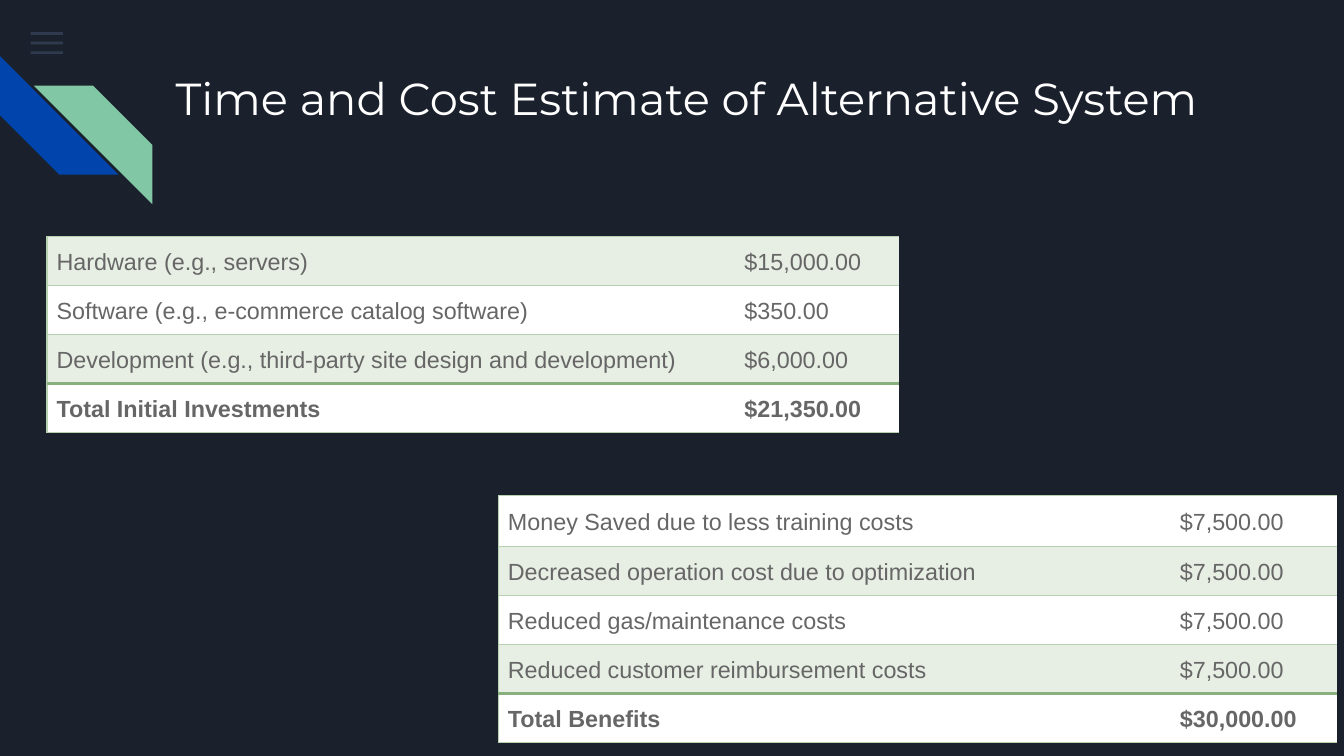
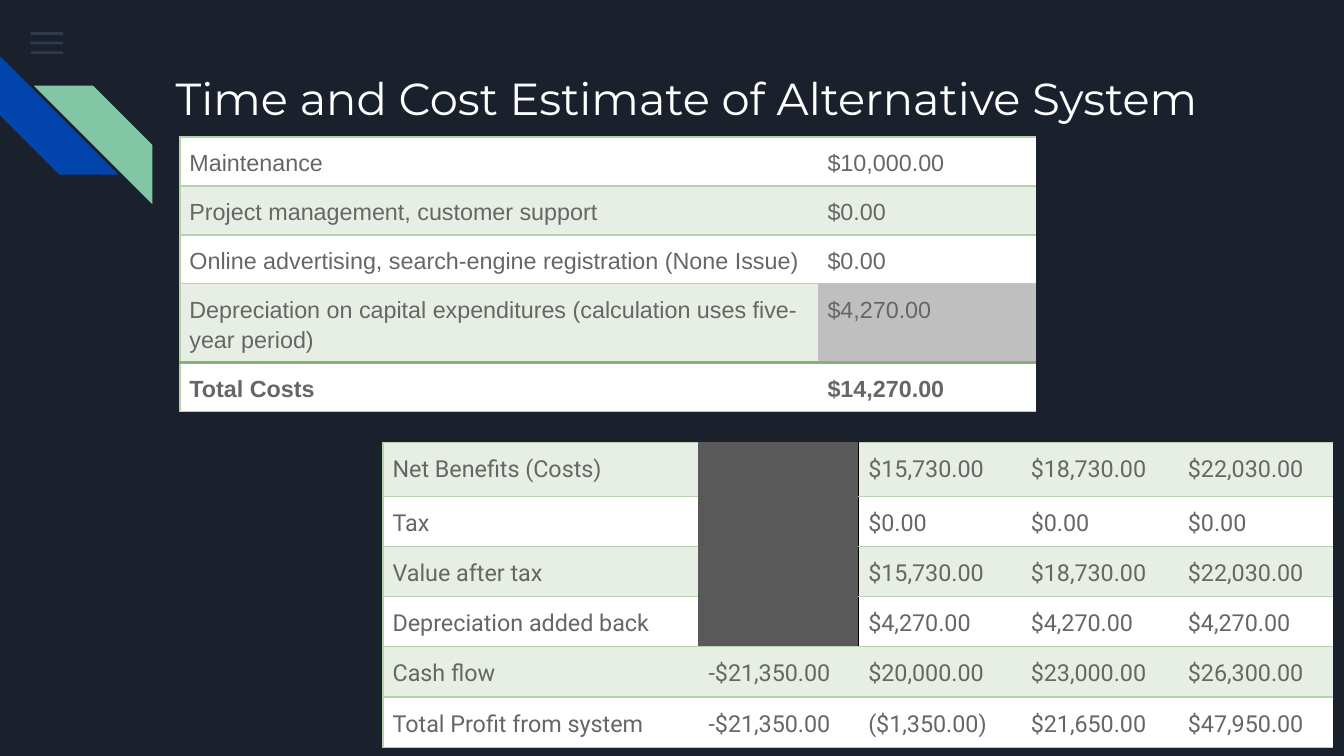
from dataclasses import dataclass

from lxml.etree import SubElement
from pptx import Presentation
from pptx.dml.color import RGBColor
from pptx.enum.shapes import MSO_SHAPE
from pptx.enum.text import MSO_ANCHOR, MSO_AUTO_SIZE, PP_ALIGN
from pptx.oxml.ns import qn
from pptx.util import Cm, Pt


@dataclass(frozen=True)
class Theme:
    back: str = "1B212C"
    menu: str = "55688B"
    blue: str = "0145AC"
    mint: str = "82C7A5"
    white: str = "FFFFFF"
    pale: str = "E7EFE4"
    text: str = "666666"
    rule: str = "B7D0B0"
    heavy: str = "87B07D"
    gray: str = "BFBFBF"
    dark: str = "595959"
    black: str = "000000"
    head: str = "Montserrat"
    body: str = "Arial"
    alt: str = "Roboto"
    large: float = 24
    small: float = 12.5
    thin: float = 0.75
    thick: float = 2


THEME = Theme()
TITLE = "Time and Cost Estimate of Alternative System"
ROW = 0.9
PAD = Cm(0.18)

INVEST = [
    ("Hardware (e.g., servers)", "$15,000.00"),
    ("Software (e.g., e-commerce catalog software)", "$350.00"),
    ("Development (e.g., third-party site design and development)", "$6,000.00"),
    ("Total Initial Investments", "$21,350.00"),
]
GAINS = [
    ("Money Saved due to less training costs", "$7,500.00"),
    ("Decreased operation cost due to optimization", "$7,500.00"),
    ("Reduced gas/maintenance costs", "$7,500.00"),
    ("Reduced customer reimbursement costs", "$7,500.00"),
    ("Total Benefits", "$30,000.00"),
]
COSTS = [
    ("Maintenance", "$10,000.00"),
    ("Project management, customer support", "$0.00"),
    ("Online advertising, search-engine registration (None Issue)", "$0.00"),
    ("Depreciation on capital expenditures (calculation uses five-year period)", "$4,270.00"),
    ("Total Costs", "$14,270.00"),
]
PROFIT = [
    ("Net Benefits (Costs)", "", "$15,730.00", "$18,730.00", "$22,030.00"),
    ("Tax", "", "$0.00", "$0.00", "$0.00"),
    ("Value after tax", "", "$15,730.00", "$18,730.00", "$22,030.00"),
    ("Depreciation added back", "", "$4,270.00", "$4,270.00", "$4,270.00"),
    ("Cash flow", "-$21,350.00", "$20,000.00", "$23,000.00", "$26,300.00"),
    ("Total Profit from system", "-$21,350.00", "($1,350.00)", "$21,650.00", "$47,950.00"),
]


def rgb(color):
    return RGBColor.from_string(color)


def fade(color, share):
    SubElement(color, qn("a:alpha")).set("val", str(share * 1000))


def add_part(slide, kind, box, color):
    part = slide.shapes.add_shape(kind, *map(Cm, box))
    part.shadow.inherit = False
    part.fill.solid()
    part.fill.fore_color.rgb = rgb(color)
    part.line.fill.background()
    return part


def add_menu(slide, left, top):
    bars = []
    for index in range(3):
        box = (left, top + index * 0.18, 0.61, 0.05)
        bar = add_part(slide, MSO_SHAPE.RECTANGLE, box, THEME.menu)
        fade(bar._element.spPr.find(".//" + qn("a:srgbClr")), 36)
        bars.append(bar)
    return bars


def add_bands(slide, left, top):
    size = 2.24
    low = add_part(slide, MSO_SHAPE.DIAGONAL_STRIPE, (left, top, size, size), THEME.blue)
    low.rotation = 270
    high = add_part(
        slide, MSO_SHAPE.DIAGONAL_STRIPE, (left + 0.64, top + 0.56, size, size), THEME.mint
    )
    high._element.spPr.find(qn("a:xfrm")).set("flipH", "1")
    return [low, high]


def set_base(deck, layout, slide):
    fill = deck.slide_master.background.fill
    fill.solid()
    fill.fore_color.rgb = rgb(THEME.back)
    for part in add_menu(slide, 0.58, 0.61) + add_bands(slide, 0, 1.06):
        layout.shapes._spTree.append(part._element)


def set_title(slide, box):
    title = slide.shapes.title
    title.left, title.top, title.width, title.height = map(Cm, box)
    frame = title.text_frame
    frame.word_wrap = True
    frame.auto_size = MSO_AUTO_SIZE.NONE
    frame.vertical_anchor = MSO_ANCHOR.TOP
    frame.margin_left = frame.margin_right = Cm(0.25)
    frame.margin_top = frame.margin_bottom = Cm(0.25)
    para = frame.paragraphs[0]
    para.alignment = PP_ALIGN.LEFT
    add_run(para, TITLE, THEME.head, THEME.large, THEME.white)


def add_run(para, text, face, size, color, bold=False):
    run = para.add_run()
    run.text = text
    font = run.font
    font.name, font.size, font.bold = face, Pt(size), bold
    font.color.rgb = rgb(color)


def set_edge(cell, side, color, width=THEME.thin, share=100):
    line = SubElement(cell._tc.get_or_add_tcPr(), qn("a:ln" + side))
    line.set("w", str(Pt(width)))
    tint = SubElement(SubElement(line, qn("a:solidFill")), qn("a:srgbClr"))
    tint.set("val", color)
    if share < 100:
        fade(tint, share)


def set_edges(cell, rows, row, col, total):
    void = not rows[row][col]
    after = col > 0 and not rows[row][col - 1]
    before = col + 1 < len(rows[row]) and not rows[row][col + 1]
    if void:
        set_edge(cell, "L", THEME.dark)
    elif col == 0:
        set_edge(cell, "L", THEME.rule)
    else:
        set_edge(cell, "L", THEME.black, share=100 if after else 0)
    if before:
        set_edge(cell, "R", THEME.dark)
    else:
        set_edge(cell, "R", THEME.black, share=100 if void else 0)
    last = len(rows) - 1
    for side, mark in (("T", last), ("B", last - 1)):
        if total and row == mark:
            set_edge(cell, side, THEME.heavy, THEME.thick)
        elif void and (side == "T" or not rows[row + 1][col]):
            set_edge(cell, side, THEME.dark)
        else:
            set_edge(cell, side, THEME.rule)


def set_cell(cell, text, fill, face, bold):
    cell.margin_left = cell.margin_right = PAD
    cell.margin_top = cell.margin_bottom = PAD
    cell.fill.solid()
    cell.fill.fore_color.rgb = rgb(fill)
    para = cell.text_frame.paragraphs[0]
    para.line_spacing = 1.15
    if text:
        add_run(para, text, face, THEME.small, THEME.text, bold)
    else:
        para._p.get_or_add_endParaRPr().set("sz", str(int(THEME.small * 100)))


def add_grid(slide, spot, rows, cols, tall=None, fills=None,
             pale=0, face=THEME.body, total=True):
    highs = [(tall or {}).get(row, ROW) for row in range(len(rows))]
    box = (*spot, sum(cols), sum(highs))
    table = slide.shapes.add_table(len(rows), len(cols), *map(Cm, box)).table
    table.first_row = table.horz_banding = False
    for col, width in enumerate(cols):
        table.columns[col].width = Cm(width)
    for row, words in enumerate(rows):
        table.rows[row].height = Cm(highs[row])
        band = THEME.pale if row % 2 == pale else THEME.white
        for col, text in enumerate(words):
            cell = table.cell(row, col)
            set_edges(cell, rows, row, col, total)
            fill = (fills or {}).get((row, col), band if text else THEME.dark)
            set_cell(cell, text, fill, face, total and row == len(rows) - 1)


def fill_first(slide):
    add_grid(slide, (0.89, 4.47), INVEST, (13, 3.1))
    add_grid(slide, (9.42, 9.37), GAINS, (12.7, 3.15), tall={0: 0.96}, pale=1)


def fill_second(slide):
    add_grid(slide, (3.4, 2.59), COSTS, (12.06, 4.12), tall={3: 1.42},
             fills={(3, 1): THEME.gray}, pale=1)
    add_grid(slide, (7.24, 8.36), PROFIT, (5.97, 3.02, 3.07, 2.97, 2.92),
             tall={0: 1.02}, face=THEME.alt, total=False)


def main():
    deck = Presentation()
    deck.slide_width, deck.slide_height = Cm(25.4), Cm(14.29)
    layout = deck.slide_layouts[5]
    for index, fill in enumerate((fill_first, fill_second)):
        slide = deck.slides.add_slide(layout)
        if index == 0:
            set_base(deck, layout, slide)
        set_title(slide, (3.07, 1.09, 22.1, 1.5))
        fill(slide)
    deck.save("out.pptx")


if __name__ == "__main__":
    main()
